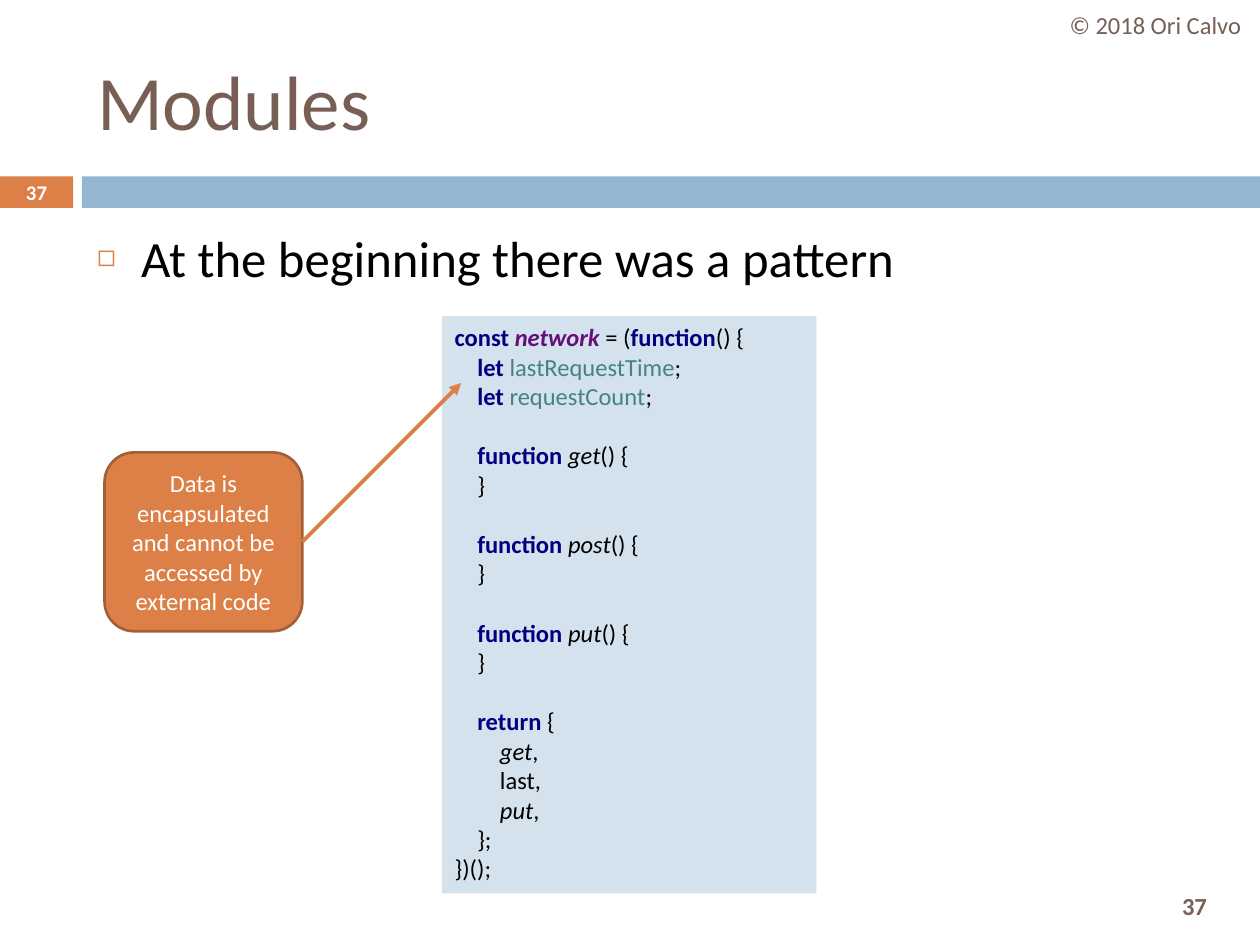
from lxml import etree
from pptx import Presentation
from pptx.dml.color import RGBColor
from pptx.enum.shapes import MSO_CONNECTOR, MSO_SHAPE
from pptx.enum.text import MSO_ANCHOR, MSO_AUTO_SIZE, PP_ALIGN
from pptx.oxml.ns import qn
from pptx.util import Inches, Pt

FONT = "Calibri"
BROWN = RGBColor(0x77, 0x5F, 0x55)
ORANGE = RGBColor(0xDD, 0x80, 0x47)
DARK_ORANGE = RGBColor(0xA3, 0x5F, 0x35)
BLUE = RGBColor(0x94, 0xB6, 0xD2)
PALE_BLUE = RGBColor(0xD4, 0xE2, 0xED)
NAVY = RGBColor(0x00, 0x00, 0x80)
PURPLE = RGBColor(0x66, 0x0E, 0x7A)
TEAL = RGBColor(0x45, 0x83, 0x83)
BLACK = RGBColor(0, 0, 0)
WHITE = RGBColor(0xFF, 0xFF, 0xFF)

# Code styles: colour, bold, italic
PLAIN = (BLACK, False, False)
KEYWORD = (NAVY, True, False)
MODULE = (PURPLE, True, True)
VARIABLE = (TEAL, False, False)
METHOD = (BLACK, False, True)

CODE_SIZE = 14
CODE_INDENT = 0.18


def method_lines(name):
    """Code lines of one empty function, set off by a gap above."""
    return [(1, True, [("function ", KEYWORD), (name, METHOD), ("() {", PLAIN)]),
            (1, False, [("}", PLAIN)])]


# Code lines: indent level, gap above, runs
CODE = [
    (0, False, [("const ", KEYWORD), ("network ", MODULE), ("= (", PLAIN),
                ("function", KEYWORD), ("() {", PLAIN)]),
    (1, False, [("let ", KEYWORD), ("lastRequestTime", VARIABLE), (";", PLAIN)]),
    (1, False, [("let ", KEYWORD), ("requestCount", VARIABLE), (";", PLAIN)]),
    *method_lines("get"),
    *method_lines("post"),
    *method_lines("put"),
    (1, True, [("return ", KEYWORD), ("{", PLAIN)]),
    (2, False, [("get", METHOD), (",", PLAIN)]),
    (2, False, [("last,", PLAIN)]),
    (2, False, [("put", METHOD), (",", PLAIN)]),
    (1, False, [("};", PLAIN)]),
    (0, False, [("})();", PLAIN)]),
]


def add_run(paragraph, text, size, color, bold=False, italic=False):
    run = paragraph.add_run()
    run.text = text
    font = run.font
    font.name, font.size, font.bold, font.italic = FONT, Pt(size), bold, italic
    font.color.rgb = color


def place(shape, box):
    shape.left, shape.top, shape.width, shape.height = map(Inches, box)


def add_box(slide, kind, box, fill, line=None):
    shape = slide.shapes.add_shape(kind, *map(Inches, box))
    shape.shadow.inherit = False
    shape.fill.solid()
    shape.fill.fore_color.rgb = fill
    if line is None:
        shape.line.fill.background()
    else:
        shape.line.color.rgb = line
        shape.line.width = Pt(1.5)
    return shape


def add_label(slide, box, text, size, color, bold=False):
    frame = slide.shapes.add_textbox(*map(Inches, box)).text_frame
    frame.word_wrap = True
    frame.vertical_anchor = MSO_ANCHOR.MIDDLE
    frame.paragraphs[0].alignment = PP_ALIGN.CENTER
    add_run(frame.paragraphs[0], text, size, color, bold)


def add_band(slide, box, number):
    """Coloured band with the slide number in its left block."""
    left, top, width, height = box
    block, gap = 0.58, 0.07
    bar_left = left + block + gap
    add_box(slide, MSO_SHAPE.RECTANGLE, (left, top, block, height), ORANGE)
    add_box(slide, MSO_SHAPE.RECTANGLE,
            (bar_left, top, width - block - gap, height), BLUE)
    add_label(slide, (left, top, block, height), number, 11.9, WHITE, True)


def fill_title(slide, box, text):
    title = slide.shapes.title
    place(title, box)
    frame = title.text_frame
    frame.auto_size = MSO_AUTO_SIZE.NONE
    frame.vertical_anchor = MSO_ANCHOR.MIDDLE
    frame.paragraphs[0].alignment = PP_ALIGN.LEFT
    add_run(frame.paragraphs[0], text, 44, BROWN)


def fill_body(slide, box, text):
    body = slide.placeholders[1]
    place(body, box)
    body.text_frame.auto_size = MSO_AUTO_SIZE.NONE
    paragraph = body.text_frame.paragraphs[0]
    paragraph.space_before = Pt(7)
    add_run(paragraph, text, 29, BLACK)
    # Hollow square bullet
    props = paragraph._p.get_or_add_pPr()
    props.set("marL", str(Inches(0.35)))
    props.set("indent", str(-Inches(0.35)))
    color = etree.SubElement(props, qn("a:buClr"))
    etree.SubElement(color, qn("a:srgbClr"), val=str(ORANGE))
    etree.SubElement(props, qn("a:buSzPct"), val="60000")
    etree.SubElement(props, qn("a:buChar"), char="◻")


def add_code(slide, box, lines):
    frame = add_box(slide, MSO_SHAPE.RECTANGLE, box, PALE_BLUE).text_frame
    frame.word_wrap = True
    frame.vertical_anchor = MSO_ANCHOR.TOP
    for index, (level, gap, runs) in enumerate(lines):
        paragraph = frame.paragraphs[0] if index == 0 else frame.add_paragraph()
        paragraph.alignment = PP_ALIGN.LEFT
        paragraph.space_before = Pt(17 if gap else 0)
        paragraph._p.get_or_add_pPr().set("marL", str(Inches(level * CODE_INDENT)))
        for text, style in runs:
            add_run(paragraph, text, CODE_SIZE, *style)


def add_callout(slide, box, text, target):
    """Rounded note with an arrow from its right edge to the target."""
    left, top, width, height = box
    note = add_box(slide, MSO_SHAPE.ROUNDED_RECTANGLE, box, ORANGE, DARK_ORANGE)
    frame = note.text_frame
    frame.word_wrap = True
    frame.vertical_anchor = MSO_ANCHOR.MIDDLE
    frame.paragraphs[0].alignment = PP_ALIGN.CENTER
    add_run(frame.paragraphs[0], text, 14, WHITE)

    ends = (left + width, top + height / 2, *target)
    arrow = slide.shapes.add_connector(MSO_CONNECTOR.STRAIGHT, *map(Inches, ends))
    arrow.line.color.rgb = ORANGE
    arrow.line.width = Pt(2.25)
    etree.SubElement(arrow.line._get_or_add_ln(), qn("a:tailEnd"), type="triangle")
    etree.SubElement(arrow._element.spPr, qn("a:effectLst"))


def build_modules_slide(prs):
    slide = prs.slides.add_slide(prs.slide_layouts[1])
    add_band(slide, (0, 1.4, 10, 0.25), "37")
    add_label(slide, (9.02, 6.98, 0.92, 0.42), "37", 14, BROWN, True)
    fill_title(slide, (0.67, 0.25, 8.92, 1.08), "Modules")
    add_label(slide, (8.34, 0, 1.66, 0.4), "© 2018 Ori Calvo", 14, BROWN)
    fill_body(slide, (0.67, 1.75, 8.92, 4.92),
              "At the beginning there was a pattern")
    add_code(slide, (3.51, 2.51, 2.97, 4.58), CODE)
    add_callout(slide, (0.83, 3.59, 1.57, 1.42),
                "Data is encapsulated and cannot be accessed by external code",
                target=(3.66, 3.04))


prs = Presentation()
prs.slide_width, prs.slide_height = Inches(10), Inches(7.5)
build_modules_slide(prs)
prs.save("out.pptx")
